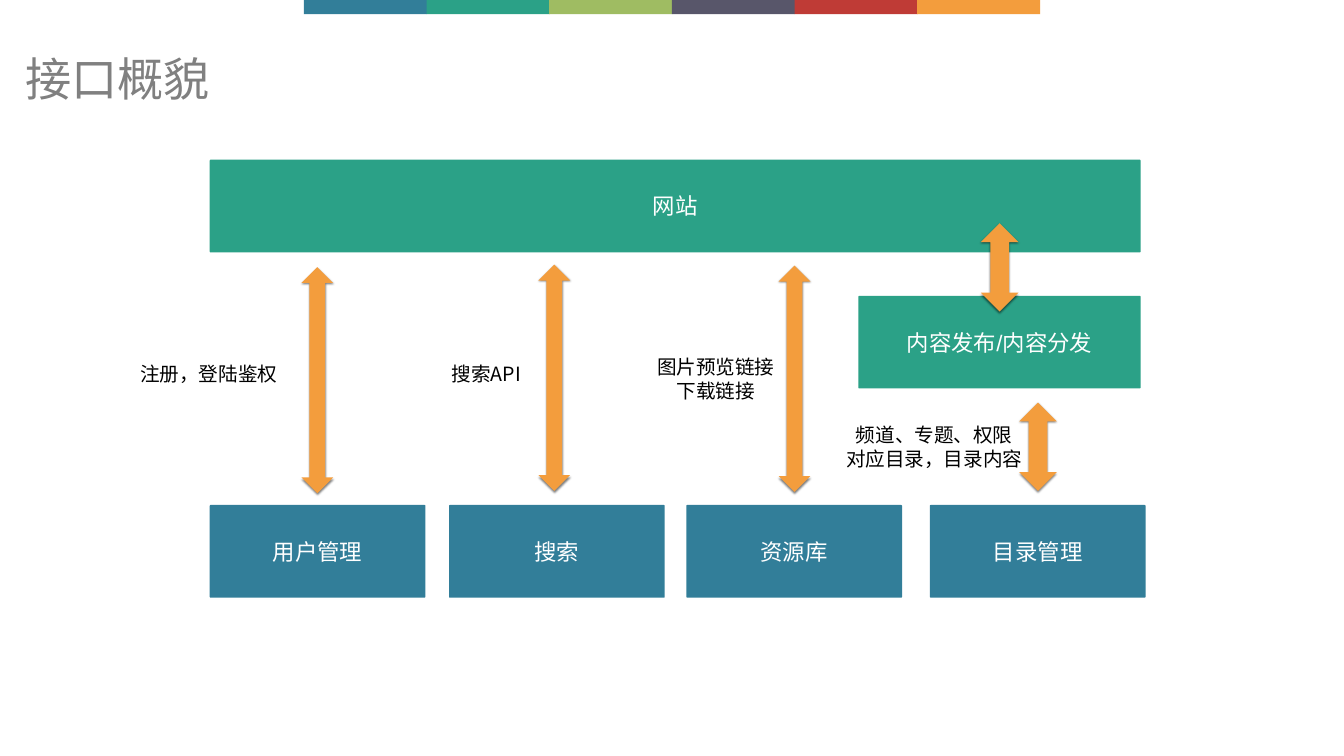
from typing import NamedTuple

import pptx
import pptx.dml.color
import pptx.enum.shapes
import pptx.enum.text
import pptx.oxml
import pptx.oxml.ns
import pptx.util
from pptx.util import Cm

RGBColor = pptx.dml.color.RGBColor
SHAPE = pptx.enum.shapes.MSO_SHAPE
ALIGN = pptx.enum.text.PP_ALIGN
ANCHOR = pptx.enum.text.MSO_ANCHOR

BLUE = RGBColor(0x32, 0x7E, 0x99)
GREEN = RGBColor(0x2B, 0xA1, 0x87)
LIME = RGBColor(0x9F, 0xBC, 0x62)
PURPLE = RGBColor(0x58, 0x56, 0x6A)
RED = RGBColor(0xBF, 0x3B, 0x36)
ORANGE = RGBColor(0xF3, 0x9D, 0x3D)
WHITE = RGBColor(0xFF, 0xFF, 0xFF)
BLACK = RGBColor(0, 0, 0)
GRAY = RGBColor(0x80, 0x80, 0x80)

LATIN = "Arial"
CJK = "Noto Sans CJK SC"
INSET = Cm(0.15)
BOX_HEIGHT = 4.67
SERVICE_WIDTH, SERVICE_TOP = 10.87, 25.45
SHADOW = (
    f'<a:outerShdw {pptx.oxml.ns.nsdecls("a")} blurRad="38100" dist="25400" '
    'dir="5400000" rotWithShape="0"><a:srgbClr val="000000">'
    '<a:alpha val="50000"/></a:srgbClr></a:outerShdw>'
)


class Box(NamedTuple):
    text: str
    left: float
    top: float
    width: float
    fill: RGBColor


class Arrow(NamedTuple):
    left: float
    top: float
    width: float
    height: float


class Label(NamedTuple):
    lines: tuple[str, ...]
    left: float
    top: float
    width: float
    height: float


STRIPES = (BLUE, GREEN, LIME, PURPLE, RED, ORANGE)
SERVICES = (("用户管理", 10.57), ("搜索", 22.63), ("资源库", 34.59), ("目录管理", 46.86))
BOXES = [Box(text, left, SERVICE_TOP, SERVICE_WIDTH, BLUE) for text, left in SERVICES] + [
    Box("内容发布/内容分发", 43.26, 14.91, 14.22, GREEN),
    Box("网站", 10.57, 8.05, 46.91, GREEN),
]
LABELS = (
    Label(("注册，登陆鉴权",), 6.2, 18.11, 8.64, 1.47),
    Label(("搜索API",), 20.19, 18.11, 8.64, 1.47),
    Label(("图片预览链接", "下载链接"), 31.75, 17.75, 8.64, 2.67),
    Label(("频道、专题、权限", "对应目录，目录内容"), 42.24, 21.18, 9.68, 2.67),
)
ARROWS = (
    Arrow(15.19, 13.46, 1.6, 11.4),
    Arrow(27.13, 13.34, 1.6, 11.4),
    Arrow(39.24, 13.39, 1.6, 11.4),
    Arrow(49.43, 11.25, 1.9, 4.45),
    Arrow(51.36, 20.29, 1.9, 4.45),
)


def write(tf, lines: tuple[str, ...], size: int, font: str, color: RGBColor, align) -> None:
    tf.word_wrap = True
    tf.auto_size = pptx.enum.text.MSO_AUTO_SIZE.NONE
    tf.vertical_anchor = ANCHOR.MIDDLE
    tf.text = "\n".join(lines)
    for p in tf.paragraphs:
        p.alignment = align
        p.font.size = pptx.util.Pt(size)
        p.font.name = font
        p.font.color.rgb = color
        ea = pptx.oxml.parse_xml(f'<a:ea {pptx.oxml.ns.nsdecls("a")} typeface="{CJK}"/>')
        p._p.pPr.find(pptx.oxml.ns.qn("a:defRPr")).append(ea)


def set_insets(tf) -> None:
    tf.margin_left = tf.margin_right = tf.margin_top = tf.margin_bottom = INSET


def add_filled(s, kind, left: float, top: float, width: float, height: float, fill: RGBColor):
    sp = s.shapes.add_shape(kind, Cm(left), Cm(top), Cm(width), Cm(height))
    sp.fill.solid()
    sp.fill.fore_color.rgb = fill
    sp.line.fill.background()
    sp.shadow.inherit = False
    return sp


def add_box(s, box: Box) -> None:
    sp = add_filled(s, SHAPE.ROUNDED_RECTANGLE, box.left, box.top, box.width, BOX_HEIGHT, box.fill)
    sp.adjustments[0] = 0.01
    set_insets(sp.text_frame)
    write(sp.text_frame, (box.text,), 32, LATIN, WHITE, ALIGN.CENTER)


def add_label(s, label: Label) -> None:
    sp = s.shapes.add_textbox(Cm(label.left), Cm(label.top), Cm(label.width), Cm(label.height))
    set_insets(sp.text_frame)
    write(sp.text_frame, label.lines, 28, CJK, BLACK, ALIGN.CENTER)


def add_arrow(s, arrow: Arrow) -> None:
    sp = add_filled(s, SHAPE.UP_DOWN_ARROW, *arrow, ORANGE)
    effects = sp._element.spPr.find(pptx.oxml.ns.qn("a:effectLst"))
    effects.append(pptx.oxml.parse_xml(SHADOW))


def add_title(s, text: str) -> None:
    sp = s.shapes.title
    sp.left, sp.top, sp.width, sp.height = Cm(1.02), Cm(1.5), Cm(45.52), Cm(5.18)
    write(sp.text_frame, (text,), 66, CJK, GRAY, ALIGN.LEFT)
    sp.text_frame.paragraphs[0].line_spacing = 0.9


def main() -> None:
    prs = pptx.Presentation()
    prs.slide_width, prs.slide_height = Cm(67.73), Cm(38.1)
    s = prs.slides.add_slide(prs.slide_layouts.get_by_name("Title Only"))
    add_title(s, "接口概貌")
    for i, color in enumerate(STRIPES):
        add_filled(s, SHAPE.RECTANGLE, 15.32 + i * 6.18, 0, 6.2, 0.71, color)
    for box in BOXES:
        add_box(s, box)
    for label in LABELS:
        add_label(s, label)
    for arrow in ARROWS:
        add_arrow(s, arrow)
    prs.save("out.pptx")


if __name__ == "__main__":
    main()
